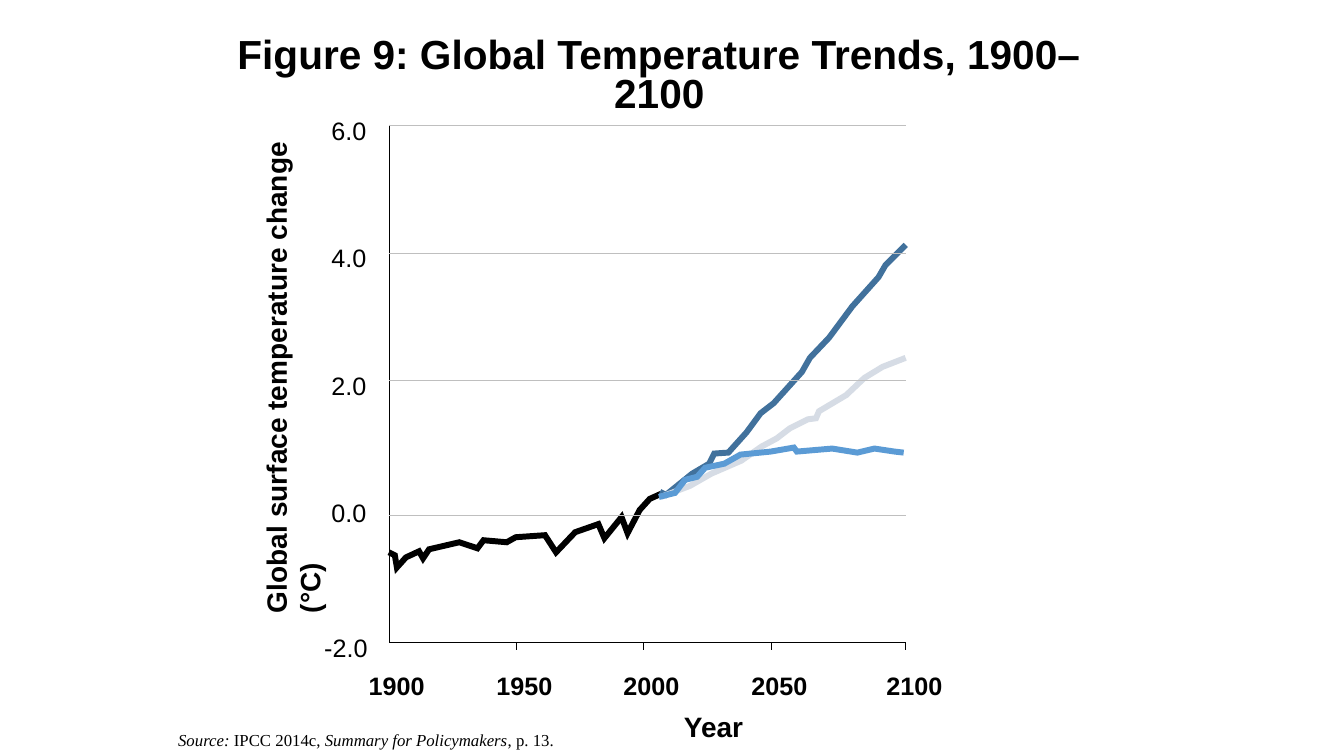
from dataclasses import dataclass

from lxml.etree import SubElement
from pptx import Presentation
from pptx.dml.color import RGBColor
from pptx.enum.shapes import MSO_CONNECTOR as Link
from pptx.enum.text import MSO_AUTO_SIZE as Fit, PP_ALIGN as Align
from pptx.oxml.ns import qn
from pptx.util import Inches, Pt

BLACK, GRID = "000000", "BFBFBF"
LEFT, RIGHT, TOP, BASE = 3.86, 8.99, 1.24, 6.37


@dataclass
class Label:
    text: str
    left: float
    top: float
    width: float
    height: float
    size: float = 18
    bold: bool = False
    turn: float = 0


@dataclass
class Rule:
    x1: float
    y1: float
    x2: float
    y2: float
    color: str = BLACK


@dataclass
class Curve:
    color: str
    points: list[tuple[float, float]]


CURVES = [
    Curve(BLACK, [
        (LEFT, 5.48), (3.92, 5.51), (3.94, 5.63), (4.03, 5.53), (4.16, 5.47),
        (4.2, 5.54), (4.26, 5.45), (4.56, 5.38), (4.74, 5.44), (4.8, 5.36),
        (5.03, 5.38), (5.12, 5.33), (5.41, 5.31), (5.52, 5.48), (5.71, 5.28),
        (5.94, 5.2), (6, 5.34), (6.17, 5.13), (6.23, 5.29), (6.35, 5.06),
        (6.45, 4.95), (6.56, 4.9)]),
    Curve("41719C", [
        (6.55, 4.88), (6.61, 4.91), (6.87, 4.7), (7.04, 4.6), (7.09, 4.5),
        (7.23, 4.49), (7.41, 4.29), (7.55, 4.1), (7.68, 4), (7.96, 3.69),
        (8.04, 3.55), (8.23, 3.35), (8.46, 3.04), (8.72, 2.75), (8.79, 2.63),
        (RIGHT, 2.43)]),
    Curve("D6DCE5", [
        (6.56, 4.93), (6.85, 4.82), (7.06, 4.7), (7.36, 4.57), (7.56, 4.43),
        (7.71, 4.35), (7.84, 4.25), (8.02, 4.16), (8.1, 4.15), (8.13, 4.08),
        (8.4, 3.92), (8.58, 3.75), (8.76, 3.64), (RIGHT, 3.55)]),
    Curve("5B9BD5", [
        (6.54, 4.93), (6.7, 4.89), (6.8, 4.76), (6.92, 4.73), (7, 4.64),
        (7.19, 4.6), (7.35, 4.51), (7.65, 4.48), (7.88, 4.44), (7.91, 4.48),
        (8.26, 4.45), (8.51, 4.49), (8.68, 4.45), (8.88, 4.48),
        (8.97, 4.49)]),
]
FRAME = [Rule(LEFT, TOP, LEFT, BASE), Rule(RIGHT, BASE, LEFT, BASE),
         Rule(RIGHT, TOP, LEFT, TOP, GRID)]
GRIDS = [Rule(RIGHT, y, LEFT, y, GRID) for y in (2.51, 3.77, 5.11)]
TICKS = [Rule(x, BASE, x, BASE + 0.08) for x in (5.13, 6.39, 7.66, RIGHT)]
DEGREES = [Label(f"{6 - 2 * i}.0", 3.19, 1.09 + 1.265 * i, 0.66, 0.4)
           for i in range(4)]
DEGREES.append(Label("-2.0", 3.12, 6.22, 0.66, 0.4))
YEARS = [Label(str(1900 + 50 * i), left, 6.6, 0.87, 0.4, bold=True)
         for i, left in enumerate((3.56, 4.83, 6.09, 7.36, 8.7))]
NAMES = [Label("Year", 6.69, 6.99, 0.87, 0.44, 20, True),
         Label("Global surface temperature change (°C)",
               0.21, 3.1, 5.39, 0.77, 20, True, 270)]
TITLE = Label("Figure 9: Global Temperature Trends, 1900–2100",
              2.23, 0.33, 8.63, 1.45, 29, True)
SOURCE = Label("", 1.67, 7.19, 3.93, 0.3, 12)
CITE = [("Source: ", True), ("IPCC 2014c, ", False),
        ("Summary for Policymakers", True), (", p. 13.", False)]


def paint(format, color: str) -> None:
    format.fill.solid()
    format.fill.fore_color.rgb = RGBColor.from_string(color)


def write(shapes, label: Label, face: str = "Arial"):
    box = shapes.add_textbox(*map(Inches, (label.left, label.top,
                                           label.width, label.height)))
    box.rotation = label.turn
    frame = box.text_frame
    frame.word_wrap = True
    para = frame.paragraphs[0]
    para.text = label.text
    font = para.font
    font.name, font.size, font.bold = face, Pt(label.size), label.bold
    paint(font, BLACK)
    return frame


def rule(shapes, item: Rule) -> None:
    line = shapes.add_connector(Link.STRAIGHT, *map(
        Inches, (item.x1, item.y1, item.x2, item.y2)))
    paint(line.line, item.color)
    line.line.width = Pt(0.5)
    SubElement(line._element.spPr, qn("a:effectLst"))


def trace(shapes, curve: Curve) -> None:
    """Draw an open line with sharp corners."""
    start, *rest = [(Inches(x), Inches(y)) for x, y in curve.points]
    pen = shapes.build_freeform(*start)
    pen.add_line_segments(rest, close=False)
    shape = pen.convert_to_shape()
    shape.shadow.inherit = False
    shape.fill.background()
    paint(shape.line, curve.color)
    shape.line.width = Pt(4.25)
    SubElement(shape.line._get_or_add_ln(), qn("a:miter"), lim="800000")


def main() -> None:
    deck = Presentation()
    deck.slide_width, deck.slide_height = Inches(13.34), Inches(7.5)
    slide = deck.slides.add_slide(deck.slide_layouts[6])

    head = write(slide.shapes, TITLE).paragraphs[0]
    head.alignment = Align.CENTER
    head.line_spacing = 0.8

    foot = write(slide.shapes, SOURCE, "Times New Roman")
    foot.word_wrap = False
    foot.auto_size = Fit.SHAPE_TO_FIT_TEXT
    for text, slant in CITE:
        run = foot.paragraphs[0].add_run()
        run.text = text
        run.font.italic = slant

    graph = slide.shapes.add_group_shape().shapes
    for item in FRAME:
        rule(graph, item)
    for curve in CURVES:
        trace(graph, curve)
    for item in GRIDS + TICKS:
        rule(graph, item)
    for label in DEGREES + YEARS + NAMES:
        write(graph, label).auto_size = Fit.SHAPE_TO_FIT_TEXT

    deck.save("out.pptx")


if __name__ == "__main__":
    main()
